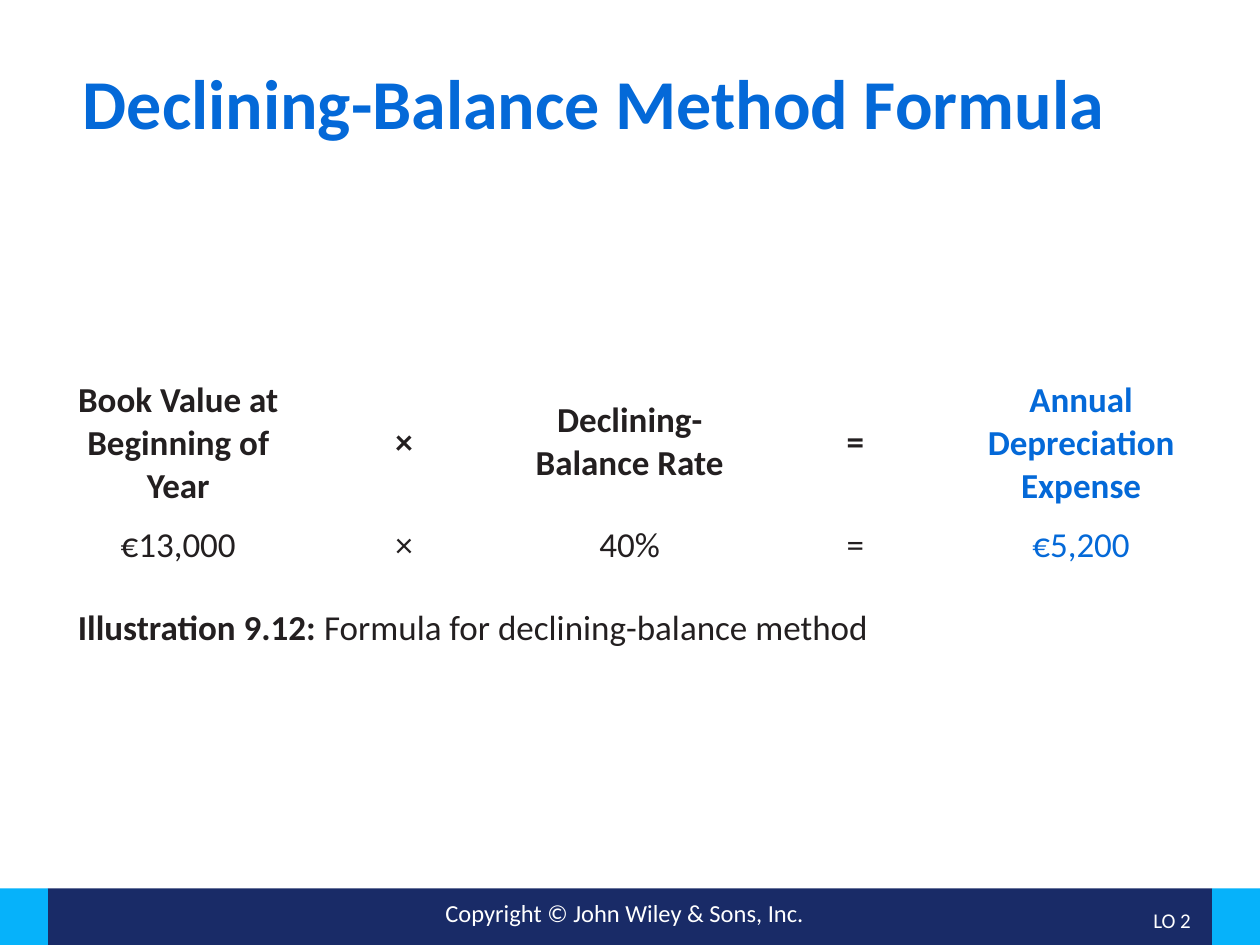
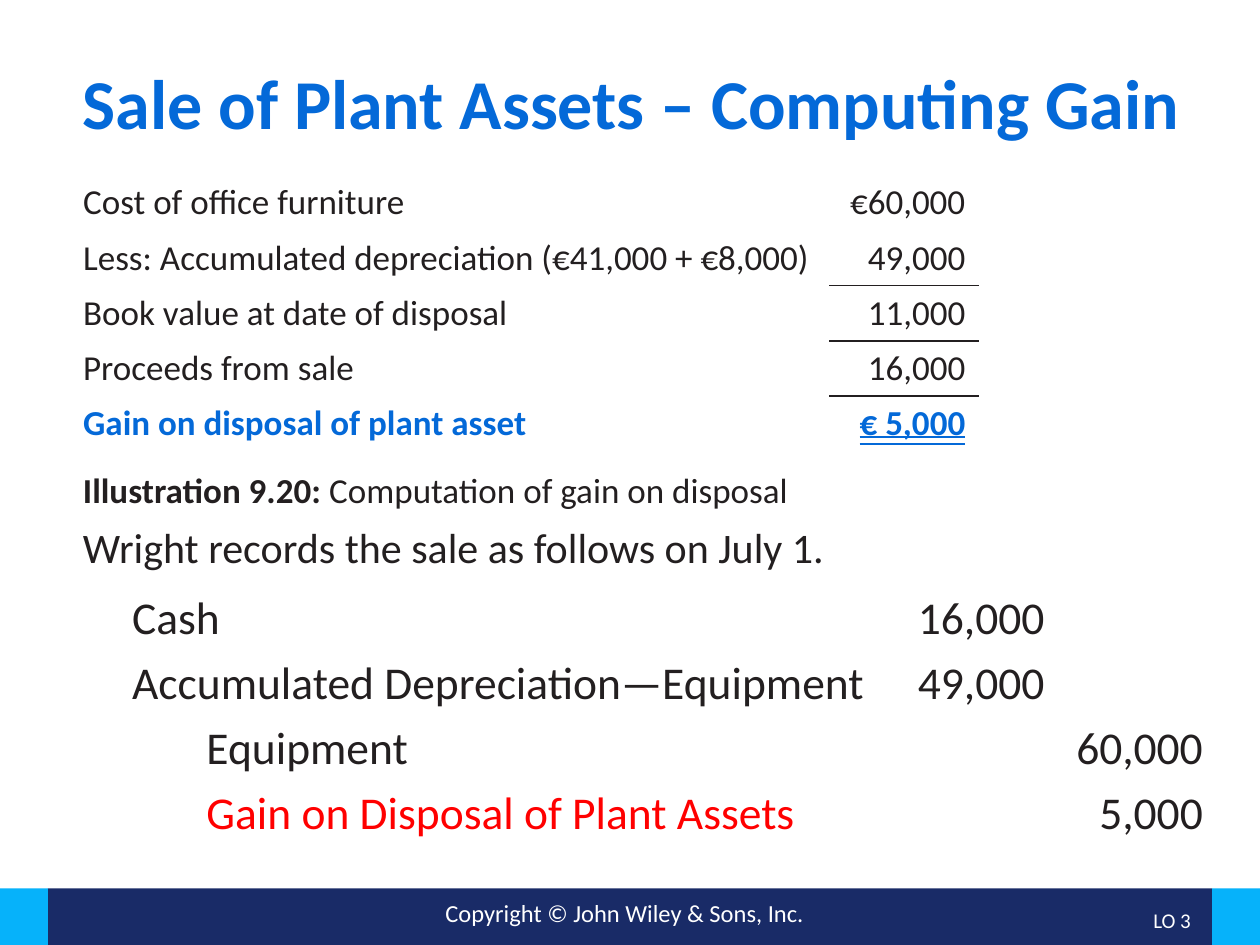
"""Build two accounting slides: declining-balance formula and gain on sale of plant assets."""
from lxml import etree
from pptx import Presentation
from pptx.dml.color import RGBColor
from pptx.enum.shapes import MSO_SHAPE as Shape
from pptx.enum.text import MSO_ANCHOR as Anchor, MSO_UNDERLINE as Underline, PP_ALIGN as Align
from pptx.oxml.ns import qn
from pptx.util import Pt

FONT = "Calibri"
BLUE, INK, WHITE, RED = "0469D8", "231F20", "FFFFFF", "FF0000"
NAVY, SKY = "192B67", "06B2FA"
WIDTH, HEIGHT = 720, 540
BAND_TOP, BAND_EDGE = 507.6, 27.4
COPYRIGHT = "Copyright © John Wiley & Sons, Inc."

FORMULA = [
    ["Book Value at Beginning of Year", "×", "Declining-Balance Rate", "=",
     "Annual Depreciation Expense"],
    ["€13,000", "×", "40%", "=", "€5,200"],
]
FORMULA_CAPTION = ("Illustration 9.12: ", "Formula for declining-balance method")

GAIN = [
    ("Cost of office furniture", "€60,000"),
    ("Less: Accumulated depreciation (€41,000 + €8,000)", "49,000"),
    ("Book value at date of disposal", "11,000"),
    ("Proceeds from sale", "16,000"),
    ("Gain on disposal of plant asset", "€ 5,000"),
]
RULED_ROWS = (1, 2, 3)
GAIN_CAPTION = ("Illustration 9.20: ", "Computation of gain on disposal")
LEAD_IN = "Wright records the sale as follows on July 1."

DEBIT_STOPS = [(521.5, "r")]
CREDIT_STOPS = [(42.5, "l"), (612, "r")]
JOURNAL = [
    ("Cash", "16,000", DEBIT_STOPS, INK),
    ("Accumulated Depreciation—Equipment", "49,000", DEBIT_STOPS, INK),
    ("Equipment", "60,000", CREDIT_STOPS, INK),
    ("Gain on Disposal of Plant Assets", "5,000", CREDIT_STOPS, RED),
]


def color(value):
    return RGBColor.from_string(value)


def style(para, size, ink=INK, bold=False, align=Align.LEFT, before=0):
    para.font.name = FONT
    para.font.size = Pt(size)
    para.font.bold = bold
    para.font.color.rgb = color(ink)
    para.alignment = align
    para.space_before = Pt(before)


def add_span(para, text):
    span = para.add_run()
    span.text = text
    return span


def add_box(page, left, top, width, height, anchor=Anchor.TOP):
    frame = page.shapes.add_textbox(Pt(left), Pt(top), Pt(width), Pt(height)).text_frame
    frame.word_wrap = True
    frame.vertical_anchor = anchor
    return frame


def add_line(page, place, text, size, ink, bold=False, align=Align.LEFT, anchor=Anchor.TOP):
    para = add_box(page, *place, anchor).paragraphs[0]
    add_span(para, text)
    style(para, size, ink, bold, align)
    return para


def add_caption(page, place, caption):
    frame = add_box(page, *place)
    label, text = caption
    para = frame.paragraphs[0]
    add_span(para, label).font.bold = True
    add_span(para, text)
    style(para, 20)
    return frame


def add_grid(page, left, top, columns, rows):
    size = Pt(sum(columns)), Pt(sum(rows))
    table = page.shapes.add_table(len(rows), len(columns), Pt(left), Pt(top), *size).table
    table.first_row = table.horz_banding = False
    for column, width in zip(table.columns, columns):
        column.width = Pt(width)
    for row, height in zip(table.rows, rows):
        row.height = Pt(height)
    return table


def fill_cell(cell, text, ink, bold, align):
    cell.fill.background()
    cell.vertical_anchor = Anchor.MIDDLE
    para = cell.text_frame.paragraphs[0]
    span = add_span(para, text)
    style(para, 20, ink, bold, align)
    return span


def rule_cell(cell, side):
    properties = cell._tc.get_or_add_tcPr()
    line = etree.Element(qn(f"a:{side}"), w=str(Pt(1)))
    fill = etree.SubElement(line, qn("a:solidFill"))
    etree.SubElement(fill, qn("a:srgbClr"), val=INK)
    properties.insert(0, line)


def set_tabs(para, stops):
    tabs = etree.SubElement(para._p.get_or_add_pPr(), qn("a:tabLst"))
    for position, align in stops:
        etree.SubElement(tabs, qn("a:tab"), pos=str(Pt(position)), algn=align)


def add_page(deck, title, objective):
    page = deck.slides.add_slide(deck.slide_layouts[6])
    right = WIDTH - BAND_EDGE
    for left, end, fill in ((BAND_EDGE, right, NAVY), (0, BAND_EDGE, SKY), (right, WIDTH, SKY)):
        band = page.shapes.add_shape(
            Shape.RECTANGLE, Pt(left), Pt(BAND_TOP), Pt(end - left), Pt(HEIGHT - BAND_TOP))
        band.shadow.inherit = False
        band.fill.solid()
        band.fill.fore_color.rgb = color(fill)
        band.line.fill.background()
    add_line(page, (180, 509.8, 354, 24.5), COPYRIGHT, 14, WHITE, align=Align.CENTER)
    add_line(page, (628.6, 511, 59, 29), objective, 12, WHITE,
             align=Align.RIGHT, anchor=Anchor.MIDDLE)
    heading = add_line(page, (40.3, 36, 647.3, 67), title, 40, BLUE, True)
    heading.line_spacing = 0.9
    return page


def build_formula(deck):
    page = add_page(deck, "Declining-Balance Method Formula", "LO 2")
    table = add_grid(page, 37.4, 213.1, [129] * 5, [79.2, 38.9])
    for row, texts in enumerate(FORMULA):
        for column, text in enumerate(texts):
            ink = BLUE if column == len(texts) - 1 else INK
            fill_cell(table.cell(row, column), text, ink, row == 0, Align.CENTER)
    add_caption(page, (37.4, 342.7, 639.4, 39.6), FORMULA_CAPTION)


def build_gain(deck):
    page = add_page(deck, "Sale of Plant Assets – Computing Gain", "LO 3")
    table = add_grid(page, 40.3, 100.1, [434, 84.6], [31.6] * len(GAIN))
    for row, (label, amount) in enumerate(GAIN):
        total = row == len(GAIN) - 1
        ink = BLUE if total else INK
        fill_cell(table.cell(row, 0), label, ink, total, Align.LEFT)
        span = fill_cell(table.cell(row, 1), amount, ink, total, Align.RIGHT)
        if total:
            span.font.underline = Underline.DOUBLE_LINE
    for row in reversed(RULED_ROWS):
        rule_cell(table.cell(row, 1), "lnB")
        rule_cell(table.cell(row + 1, 1), "lnT")

    frame = add_caption(page, (40.3, 264.2, 639.4, 77), GAIN_CAPTION)
    para = frame.add_paragraph()
    add_span(para, LEAD_IN)
    style(para, 24, before=6.2)

    frame = add_box(page, 68.4, 333, 632.9, 165.6)
    for index, (account, amount, stops, ink) in enumerate(JOURNAL):
        para = frame.add_paragraph() if index else frame.paragraphs[0]
        set_tabs(para, stops)
        indent = "\t" * (len(stops) - 1)
        add_span(para, indent + account).font.color.rgb = color(ink)
        add_span(para, "\t" + amount)
        style(para, 26, before=6 if index else 0)


def main():
    deck = Presentation()
    deck.slide_width, deck.slide_height = Pt(WIDTH), Pt(HEIGHT)
    build_formula(deck)
    build_gain(deck)
    deck.save("out.pptx")


if __name__ == "__main__":
    main()
